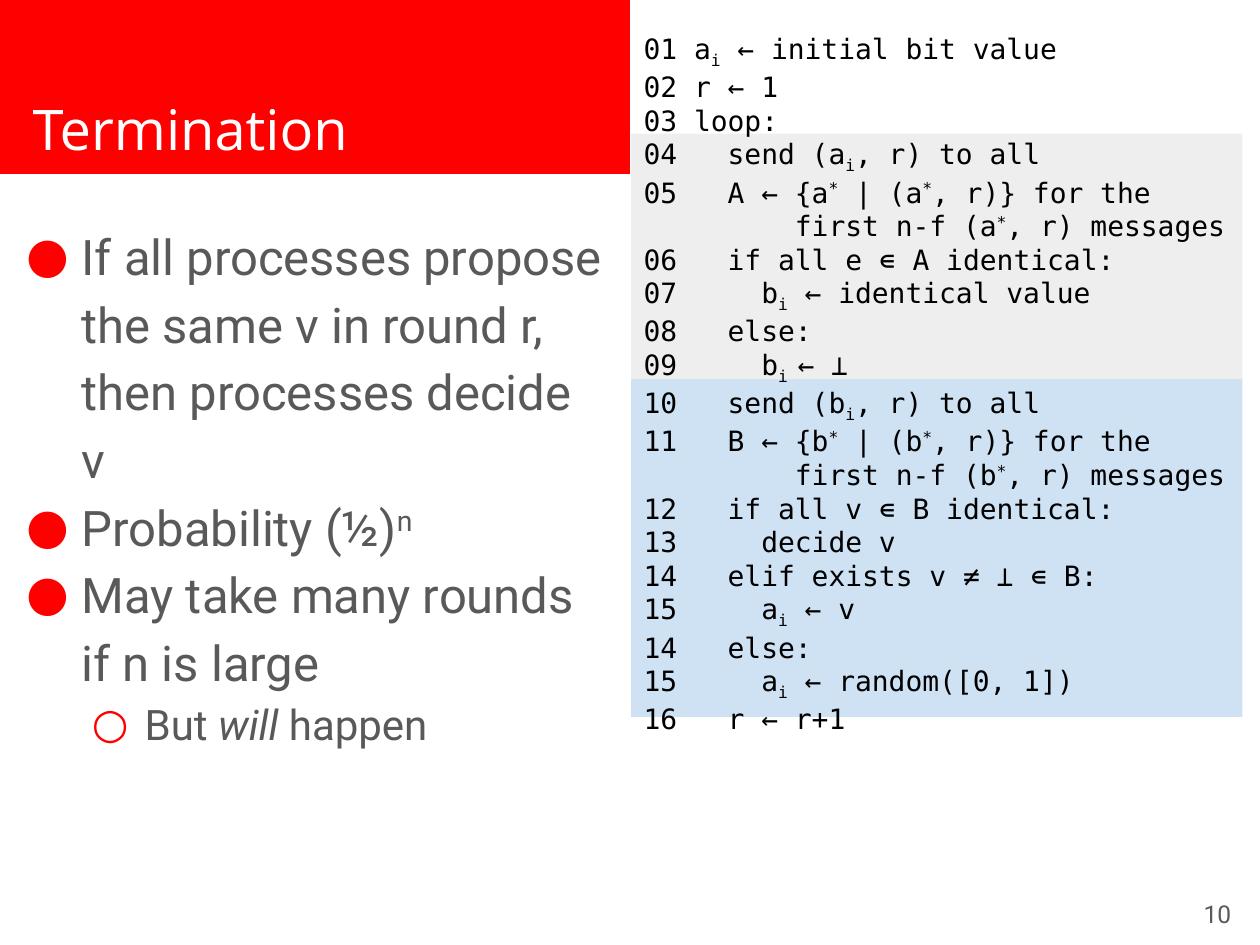
from itertools import groupby

from lxml.etree import SubElement
from pptx import Presentation
from pptx.dml.color import RGBColor
from pptx.enum.shapes import MSO_SHAPE as Shape
from pptx.enum.text import MSO_ANCHOR as Anchor, PP_ALIGN as Align
from pptx.oxml.ns import qn
from pptx.util import Inches, Pt

RED = "FF0000"
WHITE = "FFFFFF"
GREY = "595959"
BLACK = "000000"
CODE_LEFT, CODE_WIDTH = 5.01, 4.85

# Marks toggle a run style: _subscript_, ^superscript^, ~italic~
BASELINES = {"_": "-25000", "^": "30000"}

# Level, text
POINTS = [
    (0, "If all processes propose the same v in round r, then processes decide v"),
    (0, "Probability (½)^n^"),
    (0, "May take many rounds if n is large"),
    (1, "But ~will~ happen"),
]
# Per level: bullet, text size, left margin and hanging indent in inches
LEVELS = [("●", 28, 0.5, -0.44), ("○", 24, 1, -0.42)]

ALGORITHM = """\
01 a_i_ ← initial bit value
02 r ← 1
03 loop:
04   send (a_i_, r) to all
05   A ← {a^*^ | (a^*^, r)} for the
         first n-f (a^*^, r) messages
06   if all e ∊ A identical:
07     b_i_ ← identical value
08   else:
09     b_i _← ⊥
10   send (b_i_, r) to all
11   B ← {b^*^ | (b^*^, r)} for the
         first n-f (b^*^, r) messages
12   if all v ∊ B identical:
13     decide v
14   elif exists v ≠ ⊥ ∊ B:
15     a_i_ ← v
14   else:
15     a_i_ ← random([0, 1])
16   r ← r+1"""


def rgb(color):
    return RGBColor.from_string(color)


def add_block(slide, left, top, width, height, color):
    block = slide.shapes.add_shape(
        Shape.RECTANGLE, Inches(left), Inches(top), Inches(width), Inches(height))
    block.shadow.inherit = False
    block.fill.solid()
    block.fill.fore_color.rgb = rgb(color)
    block.line.fill.background()


def add_frame(slide, left, top, width, height, anchor=Anchor.TOP):
    """Add a wrapping text box with even insets and return its text frame."""
    frame = slide.shapes.add_textbox(
        Inches(left), Inches(top), Inches(width), Inches(height)).text_frame
    frame.word_wrap = True
    frame.vertical_anchor = anchor
    frame.margin_left = frame.margin_right = Inches(0.1)
    frame.margin_top = frame.margin_bottom = Inches(0.1)
    return frame


def next_paragraph(frame, index):
    return frame.paragraphs[0] if index == 0 else frame.add_paragraph()


def split_marks(text):
    """Yield (mark, wording) for each run of the marked text."""
    styled, current = [], ""
    for char in text:
        if char in "_^~":
            current = "" if current == char else char
        else:
            styled.append((current, char))
    for mark, pairs in groupby(styled, key=lambda pair: pair[0]):
        yield mark, "".join(char for _, char in pairs)


def add_runs(paragraph, text, size, font, color):
    for mark, wording in split_marks(text):
        run = paragraph.add_run()
        run.text = wording
        run.font.size = Pt(size)
        run.font.name = font
        run.font.color.rgb = rgb(color)
        if mark == "~":
            run.font.italic = True
        elif mark:
            run.font._element.set("baseline", BASELINES[mark])


def set_bullet(paragraph, bullet, margin, indent):
    properties = paragraph._p.get_or_add_pPr()
    properties.set("marL", str(Inches(margin)))
    properties.set("indent", str(Inches(indent)))
    bullet_color = SubElement(properties, qn("a:buClr"))
    SubElement(bullet_color, qn("a:srgbClr"), val=RED)
    SubElement(properties, qn("a:buFont"), typeface="Roboto")
    SubElement(properties, qn("a:buChar"), char=bullet)


def add_title(slide):
    add_block(slide, 0, 0, 5, 1.38, RED)
    frame = add_frame(slide, 0.16, 0.21, 4.42, 1.17, Anchor.BOTTOM)
    add_runs(frame.paragraphs[0], "Termination", 32, "Open Sans", WHITE)


def add_points(slide):
    frame = add_frame(slide, 0.05, 1.63, 4.85, 5.39)
    for index, (level, text) in enumerate(POINTS):
        bullet, size, margin, indent = LEVELS[level]
        paragraph = next_paragraph(frame, index)
        paragraph.level = level
        paragraph.line_spacing = 1.15
        set_bullet(paragraph, bullet, margin, indent)
        add_runs(paragraph, text, size, "Roboto", GREY)


def add_algorithm(slide):
    add_block(slide, CODE_LEFT, 3.01, CODE_WIDTH, 2.68, "CFE2F3")
    add_block(slide, CODE_LEFT, 1.06, CODE_WIDTH, 1.95, "EEEEEE")
    frame = add_frame(slide, CODE_LEFT, 0.15, CODE_WIDTH, 6.81)
    for index, line in enumerate(ALGORITHM.splitlines()):
        add_runs(next_paragraph(frame, index), line, 16, "DejaVu Sans Mono", BLACK)


def add_page_number(slide):
    paragraph = add_frame(slide, 9.27, 6.97, 0.6, 0.57, Anchor.MIDDLE).paragraphs[0]
    paragraph.alignment = Align.RIGHT
    add_runs(paragraph, "10", 14, "Roboto", GREY)


def main():
    presentation = Presentation()
    presentation.slide_width = Inches(10)
    presentation.slide_height = Inches(7.5)
    slide = presentation.slides.add_slide(presentation.slide_layouts[6])
    add_title(slide)
    add_points(slide)
    add_page_number(slide)
    add_algorithm(slide)
    presentation.save("out.pptx")


if __name__ == "__main__":
    main()
